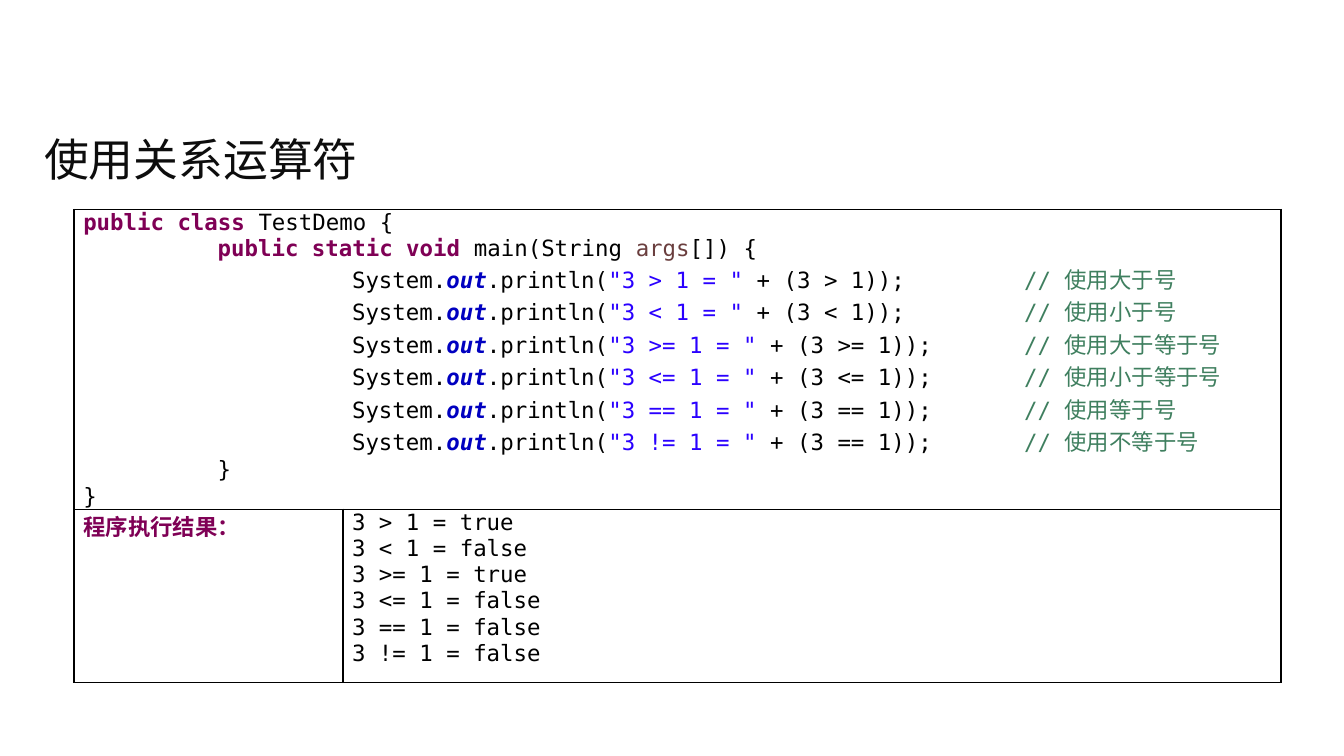
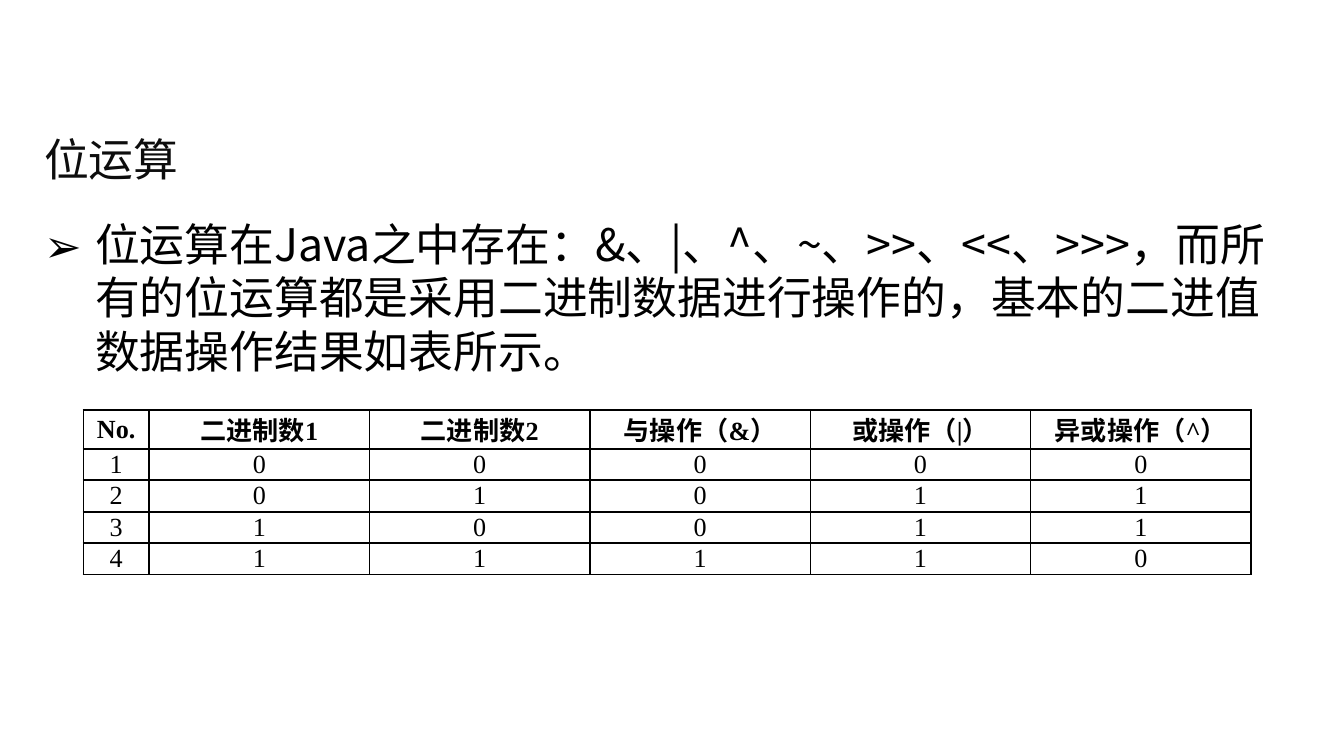
from dataclasses import dataclass

from lxml.etree import SubElement
from pptx import Presentation
from pptx.dml.color import RGBColor
from pptx.enum.text import MSO_ANCHOR, PP_ALIGN
from pptx.oxml.ns import qn
from pptx.util import Inches, Length, Pt


@dataclass(frozen=True)
class Theme:
    text: str = "000000"
    title: str = "0D0D0D"
    keyword: str = "7F0055"
    parameter: str = "6A3E3E"
    field: str = "0000C0"
    literal: str = "2A00FF"
    comment: str = "3F7F5F"
    sans: str = "Noto Sans CJK SC"
    mono: str = "DejaVu Sans Mono"
    serif: str = "Times New Roman"
    heading_size: int = 24
    code_size: int = 12
    grid_size: int = 14
    border: int = 1


THEME = Theme()
TAB_STEP = Inches(1)


@dataclass(frozen=True)
class Style:
    font: str
    size: int
    color: str = THEME.text
    bold: bool = False
    italic: bool = False


@dataclass(frozen=True)
class Span:
    text: str
    style: Style


@dataclass(frozen=True)
class Comparison:
    label: str
    expression: str
    comment: str
    result: str


TITLE = Style(THEME.sans, THEME.heading_size, THEME.title)
BODY = Style(THEME.sans, THEME.heading_size)
CODE = Style(THEME.mono, THEME.code_size)
KEYWORD = Style(THEME.mono, THEME.code_size, THEME.keyword, bold=True)
PARAMETER = Style(THEME.mono, THEME.code_size, THEME.parameter)
FIELD = Style(THEME.mono, THEME.code_size, THEME.field, bold=True, italic=True)
LITERAL = Style(THEME.mono, THEME.code_size, THEME.literal)
COMMENT = Style(THEME.mono, THEME.code_size, THEME.comment)
GRID = Style(THEME.serif, THEME.grid_size)
GRID_HEAD = Style(THEME.serif, THEME.grid_size, bold=True)

# Content
COMPARISONS = [
    Comparison("3 > 1", "3 > 1", "使用大于号", "true"),
    Comparison("3 < 1", "3 < 1", "使用小于号", "false"),
    Comparison("3 >= 1", "3 >= 1", "使用大于等于号", "true"),
    Comparison("3 <= 1", "3 <= 1", "使用小于等于号", "false"),
    Comparison("3 == 1", "3 == 1", "使用等于号", "false"),
    Comparison("3 != 1", "3 == 1", "使用不等于号", "false"),
]
BITWISE_INTRO = (
    "位运算在Java之中存在：&、|、^、~、>>、<<、>>>，"
    "而所有的位运算都是采用二进制数据进行操作的，"
    "基本的二进值数据操作结果如表所示。"
)
BITWISE_HEAD = ["No.", "二进制数1", "二进制数2", "与操作（&）", "或操作（|）", "异或操作（^）"]
BIT_PAIRS = [(0, 0), (0, 1), (1, 0), (1, 1)]


# Text
def add_span(paragraph, span: Span) -> None:
    run = paragraph.add_run()
    run.text = span.text
    font, style = run.font, span.style
    font.name = style.font
    font.size = Pt(style.size)
    font.bold = style.bold
    font.italic = style.italic
    font.color.rgb = RGBColor.from_string(style.color)
    SubElement(font._element, qn("a:ea"), typeface=THEME.sans)


def write_lines(frame, lines: list[list[Span]], align=PP_ALIGN.LEFT) -> None:
    for index, line in enumerate(lines):
        paragraph = frame.add_paragraph() if index else frame.paragraphs[0]
        paragraph.alignment = align
        paragraph._p.get_or_add_pPr().set("defTabSz", str(TAB_STEP))
        for span in line:
            add_span(paragraph, span)


def add_text(slide, top: Length, height: Length, span: Span, anchor):
    box = slide.shapes.add_textbox(Inches(0.23), top, Inches(9.53), height)
    frame = box.text_frame
    frame.word_wrap = True
    frame.vertical_anchor = anchor
    write_lines(frame, [[span]])
    return frame


def add_titled_slide(deck, title: str):
    slide = deck.slides.add_slide(deck.slide_layouts[6])
    add_text(slide, Inches(0.86), Inches(0.64), Span(title, TITLE), MSO_ANCHOR.MIDDLE)
    return slide


def add_bullet(paragraph, mark: str, indent: Length) -> None:
    properties = paragraph._p.get_or_add_pPr()
    properties.set("marL", str(indent))
    properties.set("indent", str(-indent))
    SubElement(properties, qn("a:buFont"), typeface=THEME.sans)
    SubElement(properties, qn("a:buChar"), char=mark)


# Tables
def outline_cell(cell) -> None:
    properties = cell._tc.get_or_add_tcPr()
    for edge in ("a:lnL", "a:lnR", "a:lnT", "a:lnB"):
        line = SubElement(properties, qn(edge), w=str(Pt(THEME.border)))
        SubElement(SubElement(line, qn("a:solidFill")), qn("a:srgbClr"), val=THEME.text)
    cell.fill.background()


def add_grid(slide, left: Length, top: Length, widths: list[Length], heights: list[Length]):
    table = slide.shapes.add_table(
        len(heights), len(widths), left, top, sum(widths), sum(heights)
    ).table
    table.first_row = table.horz_banding = False
    for column, width in zip(table.columns, widths):
        column.width = width
    for row, height in zip(table.rows, heights):
        row.height = height
    for cell in table.iter_cells():
        cell.margin_left = cell.margin_right = Inches(0.07)
        cell.margin_top = cell.margin_bottom = 0
        outline_cell(cell)
    return table


# Slide 1: relational operators
def print_line(item: Comparison) -> list[Span]:
    return [
        Span("\t\tSystem.", CODE),
        Span("out", FIELD),
        Span(".println(", CODE),
        Span(f'"{item.label} = "', LITERAL),
        Span(f" + ({item.expression}));\t", CODE),
        Span(f"// {item.comment}", COMMENT),
    ]


def build_relational(deck) -> None:
    slide = add_titled_slide(deck, "使用关系运算符")
    listing = add_grid(
        slide, Inches(0.55), Inches(1.56),
        [Inches(2), Inches(6.98)], [Inches(2.23), Inches(1.29)],
    )
    listing.cell(0, 0).merge(listing.cell(0, 1))
    source = [
        [Span("public class", KEYWORD), Span(" TestDemo {", CODE)],
        [
            Span("\t", CODE),
            Span("public static void", KEYWORD),
            Span(" main(String ", CODE),
            Span("args", PARAMETER),
            Span("[]) {", CODE),
        ],
        *[print_line(item) for item in COMPARISONS],
        [Span("\t}", CODE)],
        [Span("}", CODE)],
    ]
    results = [[Span(f"{item.label} = {item.result}", CODE)] for item in COMPARISONS]
    write_lines(listing.cell(0, 0).text_frame, source)
    write_lines(listing.cell(1, 0).text_frame, [[Span("程序执行结果：", KEYWORD)]])
    write_lines(listing.cell(1, 1).text_frame, results)


# Slide 2: bitwise operators
def build_bitwise(deck) -> None:
    slide = add_titled_slide(deck, "位运算")
    intro = add_text(
        slide, Inches(1.56), Inches(3.52), Span(BITWISE_INTRO, BODY), MSO_ANCHOR.TOP
    )
    add_bullet(intro.paragraphs[0], "➢", Inches(0.38))

    rows = [BITWISE_HEAD]
    for number, (a, b) in enumerate(BIT_PAIRS, start=1):
        rows.append([str(value) for value in (number, a, b, a & b, a | b, a ^ b)])
    truth = add_grid(
        slide, Inches(0.62), Inches(3.05),
        [Inches(0.49)] + [Inches(1.64)] * 5,
        [Inches(0.29)] + [Inches(0.22)] * len(BIT_PAIRS),
    )
    for r, row in enumerate(rows):
        for c, value in enumerate(row):
            cell = truth.cell(r, c)
            cell.vertical_anchor = MSO_ANCHOR.MIDDLE
            style = GRID if r else GRID_HEAD
            write_lines(cell.text_frame, [[Span(value, style)]], PP_ALIGN.CENTER)


def main() -> None:
    deck = Presentation()
    # Widescreen, 16 to 9
    deck.slide_width = Inches(10)
    deck.slide_height = Inches(10) * 9 // 16
    build_relational(deck)
    build_bitwise(deck)
    deck.save("out.pptx")


if __name__ == "__main__":
    main()
